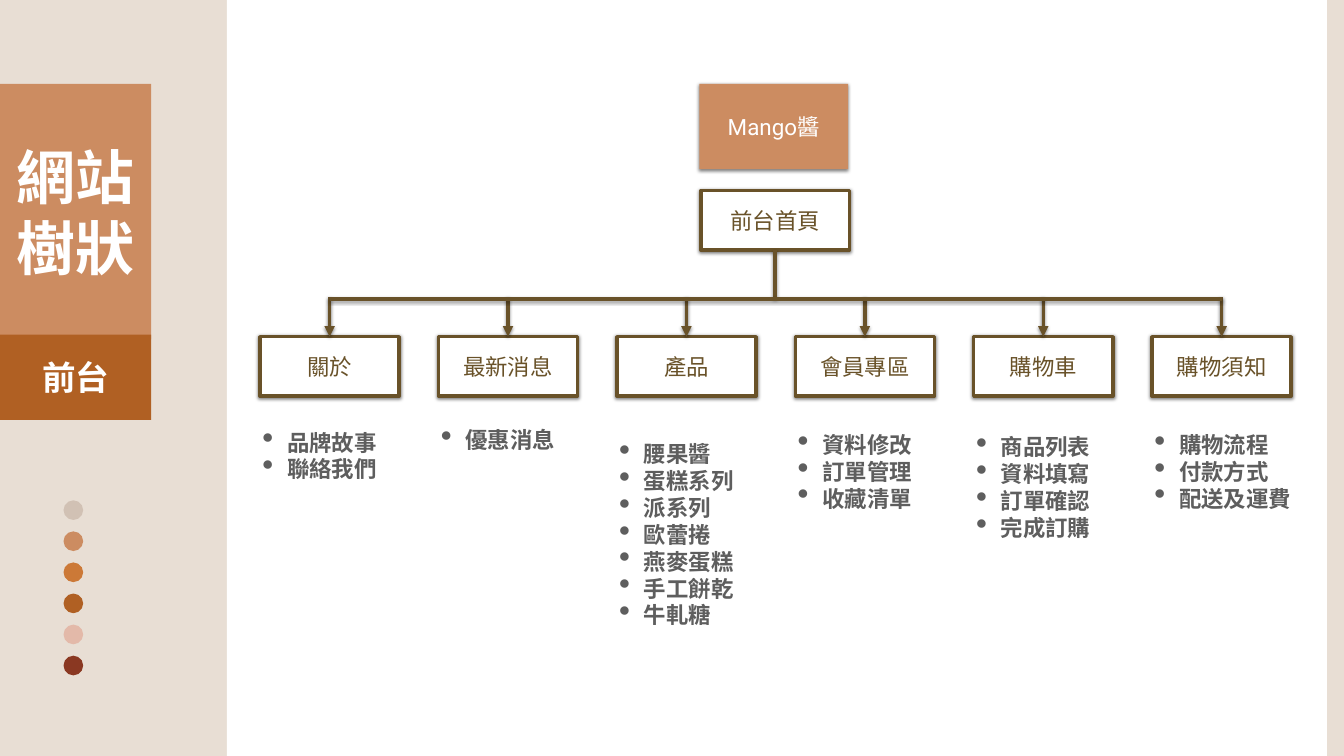
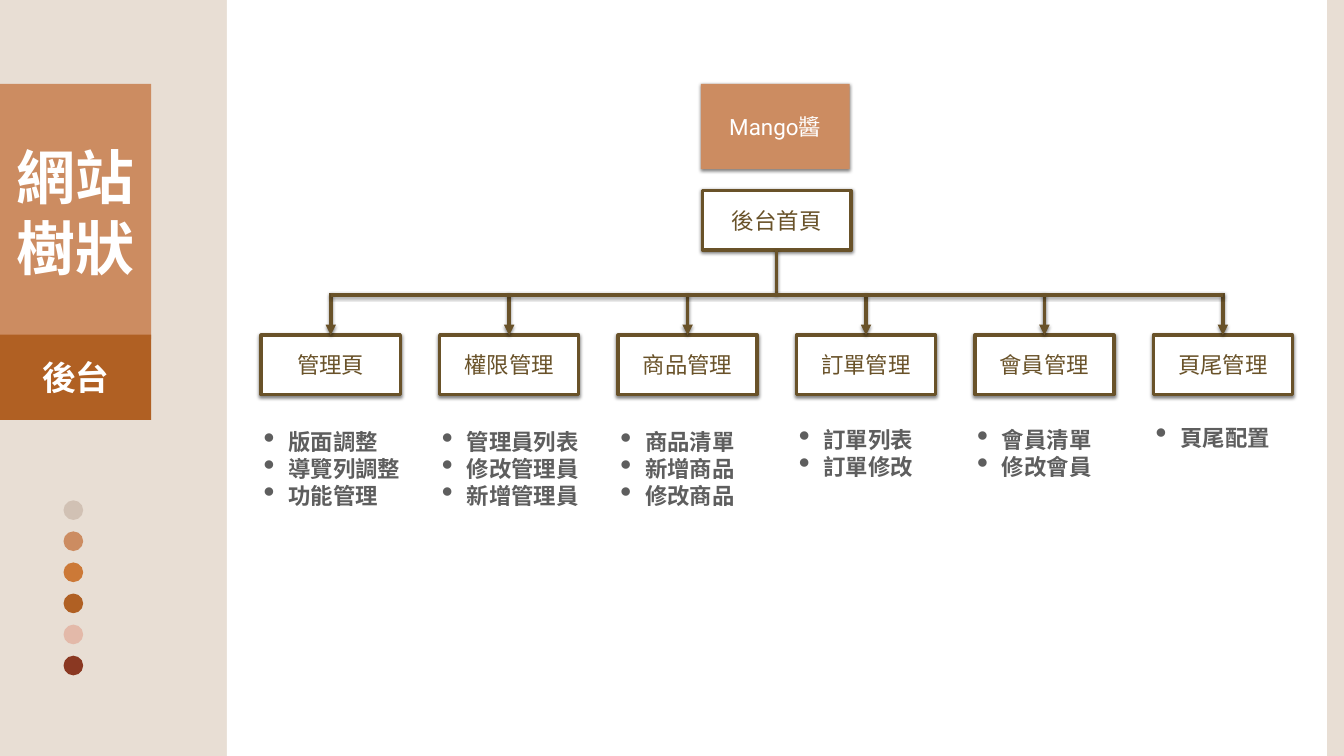
from dataclasses import dataclass

from lxml.etree import SubElement
from pptx import Presentation
from pptx.dml.color import RGBColor
from pptx.enum.shapes import MSO_CONNECTOR, MSO_SHAPE
from pptx.enum.text import MSO_ANCHOR, MSO_AUTO_SIZE, PP_ALIGN
from pptx.oxml.ns import qn
from pptx.util import Inches, Pt


@dataclass(frozen=True)
class Theme:
    """Colours, fonts and type sizes shared by the slides."""

    sand: str = "E8DED4"
    clay: str = "CC8C61"
    rust: str = "B06023"
    white: str = "FFFFFF"
    brown: str = "695229"
    gray: str = "5E5E5E"
    black: str = "000000"
    dots: tuple = ("D1C1B4", "CC8C61", "CC7937", "B06023", "E3B9A9", "8A3822")
    cjk: str = "Noto Sans CJK SC"
    latin: str = "Roboto"
    plain: str = "Arial"
    title: int = 84
    label: int = 48
    body: int = 32
    stroke: int = 5


@dataclass(frozen=True)
class Tree:
    """One site tree: its names, branches and grid offsets."""

    label: str
    home: str
    nodes: dict
    left: float
    root: float
    bus: float
    top: float
    notes: float


TREES = (
    Tree("前台", "前台首頁", {
        "關於": ("品牌故事", "聯絡我們"),
        "最新消息": ("優惠消息",),
        "產品": ("腰果醬", "蛋糕系列", "派系列", "歐蕾捲", "燕麥蛋糕", "手工餅乾", "牛軋糖"),
        "會員專區": ("資料修改", "訂單管理", "收藏清單"),
        "購物車": ("商品列表", "資料填寫", "訂單確認", "完成訂購"),
        "購物須知": ("購物流程", "付款方式", "配送及運費"),
    }, left=15.48, root=41.63, bus=17.79, top=20.04, notes=25),
    Tree("後台", "後台首頁", {
        "管理頁": ("版面調整", "導覽列調整", "功能管理"),
        "權限管理": ("管理員列表", "修改管理員", "新增管理員"),
        "商品管理": ("商品清單", "新增商品", "修改商品"),
        "訂單管理": ("訂單列表", "訂單修改"),
        "會員管理": ("會員清單", "修改會員"),
        "頁尾管理": ("頁尾配置",),
    }, left=15.55, root=41.72, bus=17.55, top=19.95, notes=24.84),
)


def write(frame, *lines, font, size, color, bold=False, align=PP_ALIGN.CENTER,
          bullet=False, wrap=True, fit=MSO_AUTO_SIZE.NONE):
    """Fill a text frame with one paragraph per line."""
    frame.word_wrap, frame.auto_size = wrap, fit
    frame.vertical_anchor = MSO_ANCHOR.MIDDLE
    frame.margin_left = frame.margin_right = Inches(0.08)
    frame.margin_top = frame.margin_bottom = Inches(0.08)
    for i, line in enumerate(lines):
        para = frame.add_paragraph() if i else frame.paragraphs[0]
        para.alignment = align
        run = para.add_run()
        run.text = line
        run.font.name, run.font.size, run.font.bold = font, Pt(size), bold
        run.font.color.rgb = RGBColor.from_string(color)
        if font != Theme.latin:
            SubElement(run.font._element, qn("a:ea"), typeface=font)
        if bullet:
            props = para._p.get_or_add_pPr()
            props.set("marL", str(Inches(0.49)))
            props.set("indent", str(-Inches(0.49)))
            SubElement(props, qn("a:buSzPct"), val="145000")
            SubElement(props, qn("a:buChar"), char="•")


class Deck:
    """Presentation on an 80 by 45 grid, with the slide being drawn."""

    def __init__(self, theme):
        """Open a blank deck."""
        self.theme = theme
        self.show = Presentation()
        self.show.slide_width, self.show.slide_height = Inches(26.67), Inches(15)
        self.slide = None

    def grid(self, cols, rows):
        """Turn columns and rows into lengths."""
        return (int(self.show.slide_width * cols / 80),
                int(self.show.slide_height * rows / 45))

    def start(self):
        """Begin a slide with a title."""
        self.slide = self.show.slides.add_slide(self.show.slide_layouts[5])

    def paint(self, shape, fill):
        """Give a shape a flat fill."""
        shape.fill.solid()
        shape.fill.fore_color.rgb = RGBColor.from_string(fill)

    def shade(self, props):
        """Put the soft drop shadow on shape properties."""
        glow = props.find(qn("a:effectLst"))
        if glow is None:
            glow = SubElement(props, qn("a:effectLst"))
        cast = SubElement(glow, qn("a:outerShdw"), blurRad=str(Pt(5)),
                          dist=str(Pt(2)), dir="5400000", rotWithShape="0")
        tone = SubElement(cast, qn("a:srgbClr"), val=self.theme.black)
        SubElement(tone, qn("a:alpha"), val="50000")

    def stroke(self, line):
        """Apply the brown stroke."""
        line.color.rgb = RGBColor.from_string(self.theme.brown)
        line.width = Pt(self.theme.stroke)

    def shape(self, x, y, w, h, fill, kind=MSO_SHAPE.RECTANGLE, edge=False,
              cast=False, pool=None):
        """Add a preset shape."""
        pool = pool or self.slide.shapes
        item = pool.add_shape(kind, *self.grid(x, y), *self.grid(w, h))
        self.paint(item, fill)
        if edge:
            self.stroke(item.line)
        else:
            item.line.fill.background()
        item.shadow.inherit = False
        if cast:
            self.shade(item._element.spPr)
        return item

    def title(self, text, x, y, w, h):
        """Place and format the title."""
        item = self.slide.shapes.title
        item.left, item.top = self.grid(x, y)
        item.width, item.height = self.grid(w, h)
        self.paint(item, self.theme.clay)
        item.element.getparent().append(item.element)
        write(item.text_frame, text, font=self.theme.cjk, size=self.theme.title,
              color=self.theme.white, bold=True)

    def node(self, text, x, y, w):
        """Add an outlined tree node."""
        item = self.shape(x, y, w, 3.54, self.theme.white, edge=True, cast=True)
        write(item.text_frame, text, font=self.theme.cjk, size=self.theme.body,
              color=self.theme.brown)
        return item

    def notes(self, lines, x, y):
        """Add a bulleted list sized to its lines."""
        size = Inches(0.8 + 0.44 * max(map(len, lines))), Inches(0.16 + len(lines) * 5 / 8)
        item = self.slide.shapes.add_textbox(*self.grid(x, y), *size)
        write(item.text_frame, *lines, font=self.theme.plain, size=self.theme.body,
              color=self.theme.gray, bold=True, align=PP_ALIGN.LEFT, bullet=True,
              wrap=False, fit=MSO_AUTO_SIZE.SHAPE_TO_FIT_TEXT)

    def line(self, x, y, x2, y2, head=None, foot=None):
        """Add a line, joined below head or with an arrow above foot."""
        item = self.slide.shapes.add_connector(
            MSO_CONNECTOR.STRAIGHT, *self.grid(x, y), *self.grid(x2, y2))
        self.stroke(item.line)
        if head:
            item.begin_connect(head, 2)
        if foot:
            item.end_connect(foot, 0)
            SubElement(item.line._get_or_add_ln(), qn("a:tailEnd"), type="triangle")
        self.shade(item._element.spPr)

    def side(self, label):
        """Draw the shared backdrop, title, label and dots."""
        look = self.theme
        self.shape(-0.12, 0, 80.22, 45, look.sand)
        self.shape(13.5, 0, 65.48, 45, look.white)
        self.title("網站樹狀", 0, 5, 9, 15.2)
        tag = self.shape(0, 19.92, 9, 5.07, look.rust)
        write(tag.text_frame, label, font=look.cjk, size=look.label,
              color=look.white, bold=True)
        pool = self.slide.shapes.add_group_shape().shapes
        for i, tone in enumerate(look.dots):
            self.shape(3.78, 29.78 + 1.85 * i, 1.17, 1.17, tone,
                       kind=MSO_SHAPE.OVAL, pool=pool)

    def tree(self, plan):
        """Draw a whole site tree."""
        look = self.theme
        wide, step = 8.28, 10.62
        root = self.shape(plan.root, 5, 8.85, 5.07, look.clay, cast=True)
        write(root.text_frame, "Mango醬", font=look.latin, size=look.body,
              color=look.white)
        home = self.node(plan.home, plan.root + 0.09, 11.34, 8.85)
        stem = plan.root + 0.09 + 8.85 / 2
        self.line(stem, 14.88, stem, plan.bus, head=home)
        mids = []
        for i, (name, lines) in enumerate(plan.nodes.items()):
            x = plan.left + step * i
            mids.append(x + wide / 2)
            item = self.node(name, x, plan.top, wide)
            self.notes(lines, x - 0.1, plan.notes)
            self.line(mids[i], plan.bus - 0.1, mids[i], plan.top, foot=item)
        self.line(mids[0], plan.bus, mids[-1], plan.bus)


def main():
    """Build both site trees and save them."""
    deck = Deck(Theme())
    for plan in TREES:
        deck.start()
        deck.side(plan.label)
        deck.tree(plan)
    deck.show.save("out.pptx")


if __name__ == "__main__":
    main()
